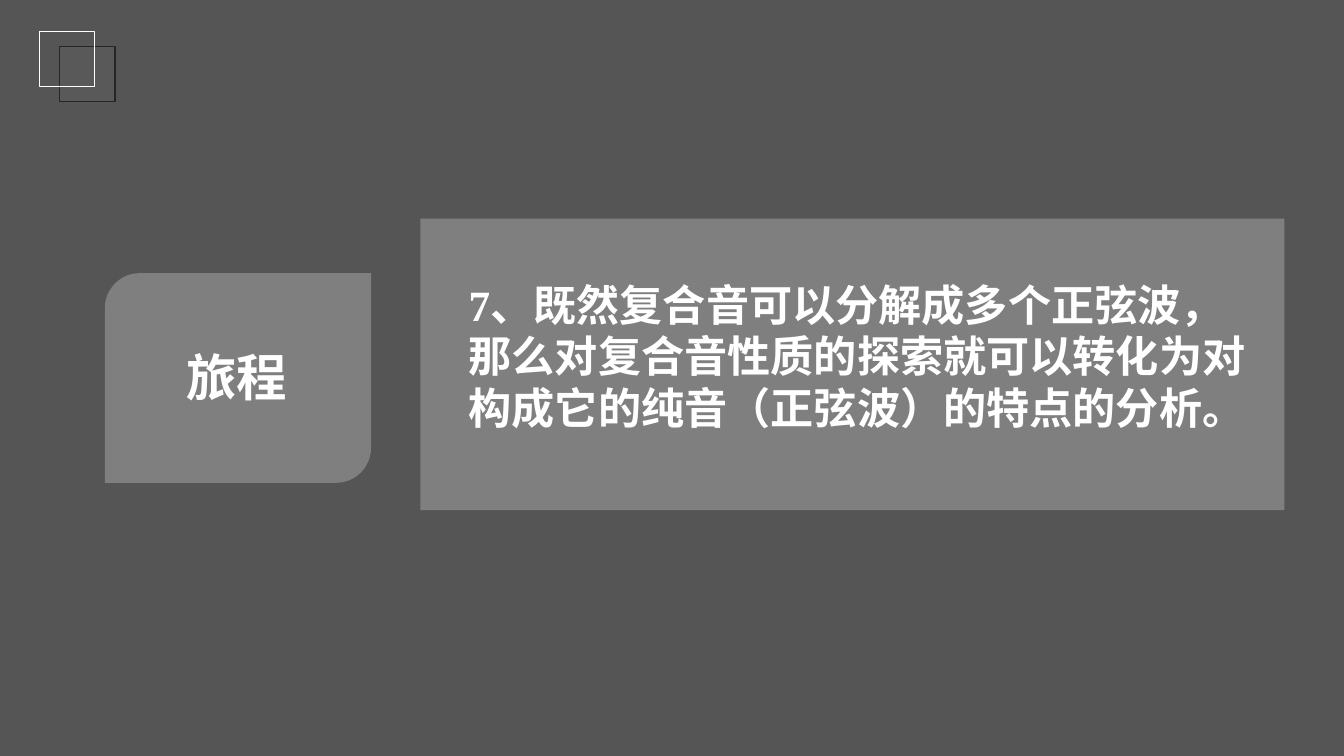
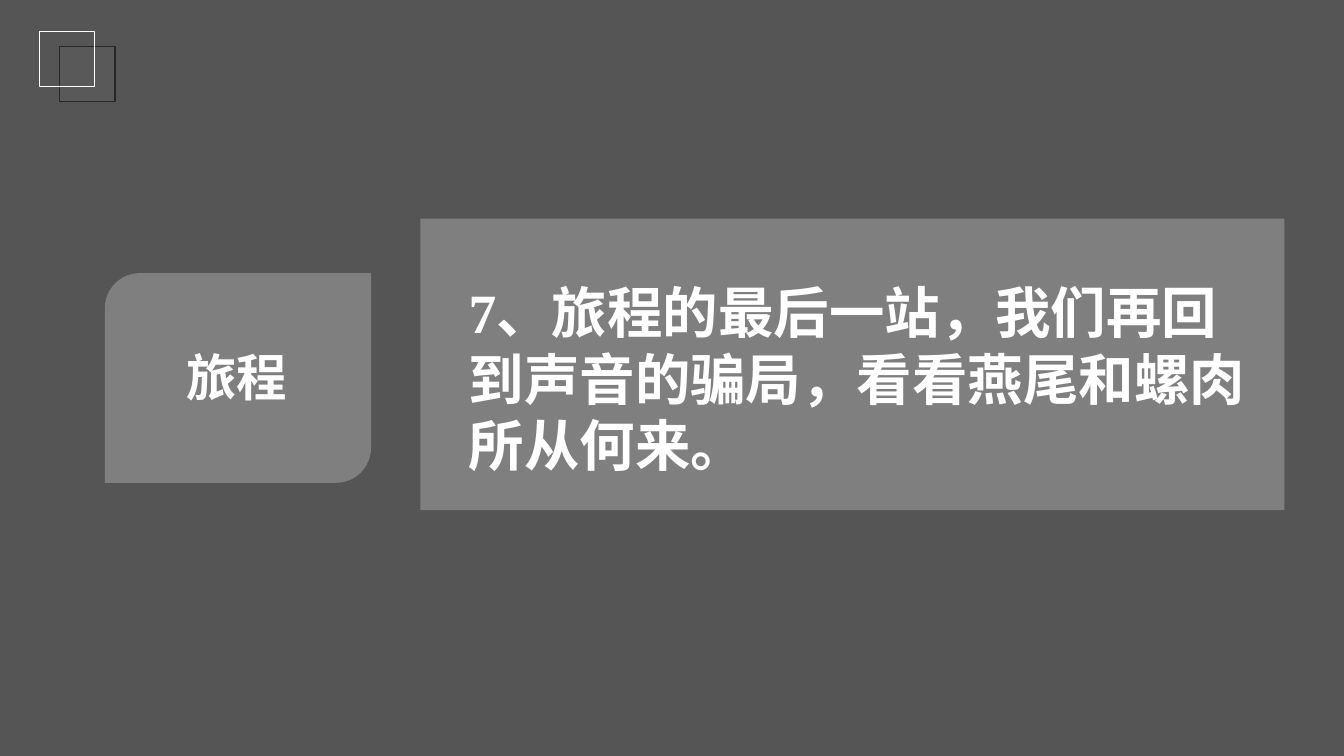
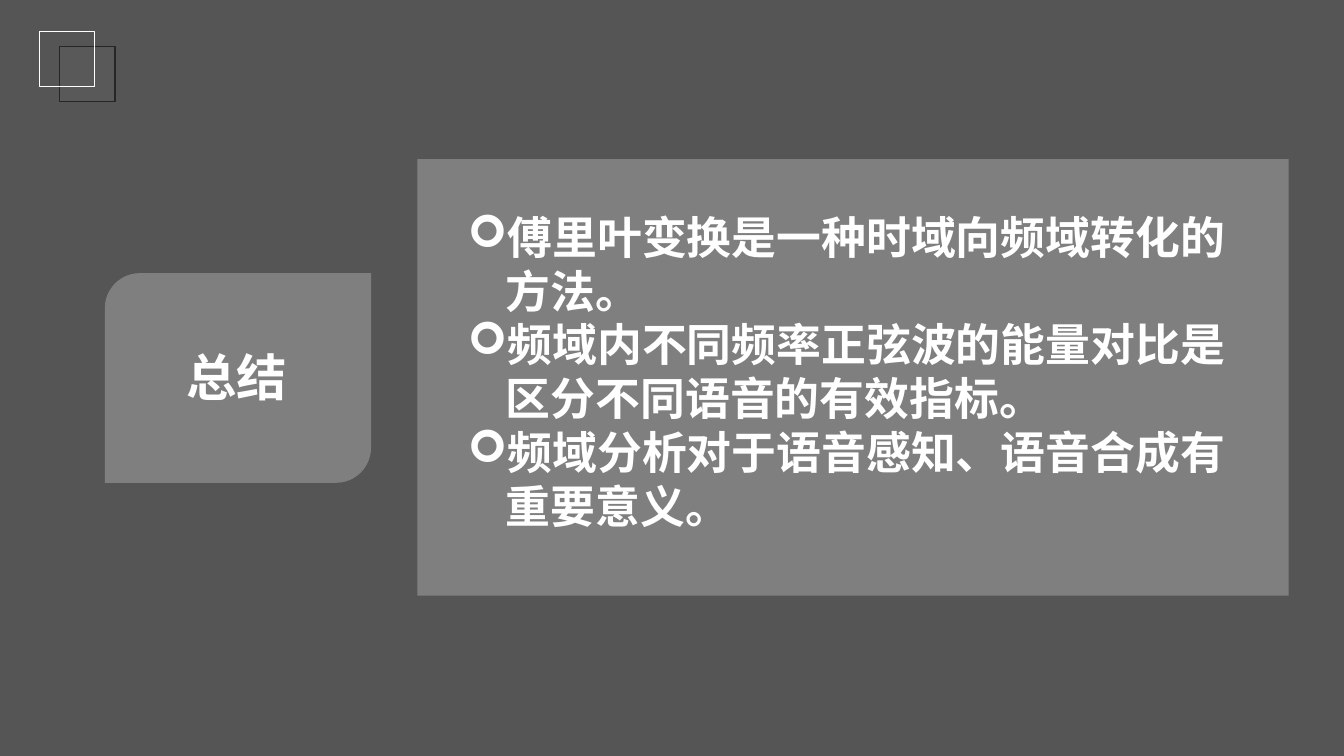
from lxml import etree
from pptx import Presentation
from pptx import util as u
from pptx.dml.color import RGBColor
from pptx.enum import shapes, text
from pptx.oxml.ns import qn

WHITE = RGBColor(0xFF, 0xFF, 0xFF)
VEIL = RGBColor(0x0D, 0x0D, 0x0D)
SQUARE_FILL = RGBColor(0x59, 0x59, 0x59)
SQUARE_EDGE = RGBColor(0x26, 0x26, 0x26)
CJK_FONT = "Noto Sans CJK SC"
LATIN_FONT = "Times New Roman"
BULLET_FONT = "Wingdings"
BULLET = "➢"
VEIL_OPACITY = 70
PANEL_OPACITY = 25
SLIDE_SIZE = (13.33, 7.5)
KIND = shapes.MSO_SHAPE

JOURNEY_PANEL = (4.17, 2.17, 8.57, 2.89)
SUMMARY_PANEL = (4.14, 1.58, 8.64, 4.33)

PAGES = [
    dict(label="旅程", panel=JOURNEY_PANEL, top=2.71, size=30.8, lines=[
        "7、既然复合音可以分解成多个正弦波，那么对复合音性质的探索就可以转化为"
        "对构成它的纯音（正弦波）的特点的分析。"]),
    dict(label="旅程", panel=JOURNEY_PANEL, top=2.71, size=39.6, lines=[
        "7、旅程的最后一站，我们再回到声音的骗局，看看燕尾和螺肉所从何来。"]),
    dict(label="总结", panel=SUMMARY_PANEL, top=2.03, size=32, bulleted=True, lines=[
        "傅里叶变换是一种时域向频域转化的方法。",
        "频域内不同频率正弦波的能量对比是区分不同语音的有效指标。",
        "频域分析对于语音感知、语音合成有重要意义。"]),
]


def place(lengths):
    return [u.Inches(length) for length in lengths]


def set_all(target, values):
    for name, value in values.items():
        setattr(target, name, value)


def add_shape(parent, kind, at, fill=None, opacity=100, line=None):
    shape = parent.add_shape(kind, *place(at))
    shape.shadow.inherit = False
    if fill is None:
        shape.fill.background()
    else:
        shape.fill.solid()
        shape.fill.fore_color.rgb = fill
        if opacity < 100:
            color = shape.fill._xPr.find(qn("a:solidFill"))[0]
            etree.SubElement(color, qn("a:alpha"), val=str(opacity * 1000))
    if line is None:
        shape.line.fill.background()
    else:
        shape.line.color.rgb = line
        shape.line.width = u.Pt(1)
    return shape


def add_text(parent, at, lines, size, font, frame_format, para_format):
    box = parent.add_textbox(*place(at))
    set_all(box.text_frame, frame_format)
    box.text_frame.text = "\n".join(lines)
    for para in box.text_frame.paragraphs:
        set_all(para, para_format)
        for span in para.runs:
            set_all(span.font, dict(name=font, size=u.Pt(size), bold=True))
            span.font.color.rgb = WHITE
            east_asian = etree.Element(qn("a:ea"), typeface=CJK_FONT)
            span.font._element.find(qn("a:latin")).addnext(east_asian)
    return box


def indent(para, left, first, bullet=None):
    props = para._p.get_or_add_pPr()
    props.set("marL", str(u.Inches(left)))
    props.set("indent", str(u.Inches(first)))
    if bullet:
        etree.SubElement(props, qn("a:buFont"), typeface=BULLET_FONT)
        etree.SubElement(props, qn("a:buChar"), char=bullet)


def add_veil(deck, page):
    """Move a translucent full-slide rectangle to the master, behind every slide."""
    veil = add_shape(page.shapes, KIND.RECTANGLE, (0, 0, *SLIDE_SIZE),
                     fill=VEIL, opacity=VEIL_OPACITY)
    deck.slide_master.shapes._spTree.insert(2, veil._element)


def add_corner_squares(page):
    add_shape(page.shapes, KIND.RECTANGLE, (0.59, 0.46, 0.55, 0.55),
              fill=SQUARE_FILL, line=SQUARE_EDGE)
    add_shape(page.shapes, KIND.RECTANGLE, (0.39, 0.31, 0.55, 0.55), line=WHITE)


def add_label(page, label):
    group = page.shapes.add_group_shape()
    add_shape(group.shapes, KIND.ROUND_2_DIAG_RECTANGLE, (1.04, 2.71, 2.64, 2.08),
              fill=WHITE, opacity=PANEL_OPACITY)
    add_text(group.shapes, (1.04, 3.38, 2.62, 0.48), [label], 36, CJK_FONT,
             dict(word_wrap=False, vertical_anchor=text.MSO_ANCHOR.TOP),
             dict(alignment=text.PP_ALIGN.CENTER))


def add_body(page, panel, top, size, lines, bulleted=False):
    add_shape(page.shapes, KIND.RECTANGLE, panel, fill=WHITE, opacity=PANEL_OPACITY)
    box = add_text(page.shapes, (4.3, top, 8.31, 1.82), lines, size, LATIN_FONT,
                   dict(word_wrap=True, vertical_anchor=text.MSO_ANCHOR.TOP),
                   dict(level=1))
    for para in box.text_frame.paragraphs:
        if bulleted:
            indent(para, 0.62, -0.38, BULLET)
        else:
            indent(para, 0.25, 0)


def main():
    deck = Presentation()
    deck.slide_width, deck.slide_height = place(SLIDE_SIZE)
    for content in PAGES:
        page = deck.slides.add_slide(deck.slide_layouts[6])
        add_corner_squares(page)
        body = dict(content)
        add_label(page, body.pop("label"))
        add_body(page, **body)
    add_veil(deck, page)
    deck.save("out.pptx")


if __name__ == "__main__":
    main()
